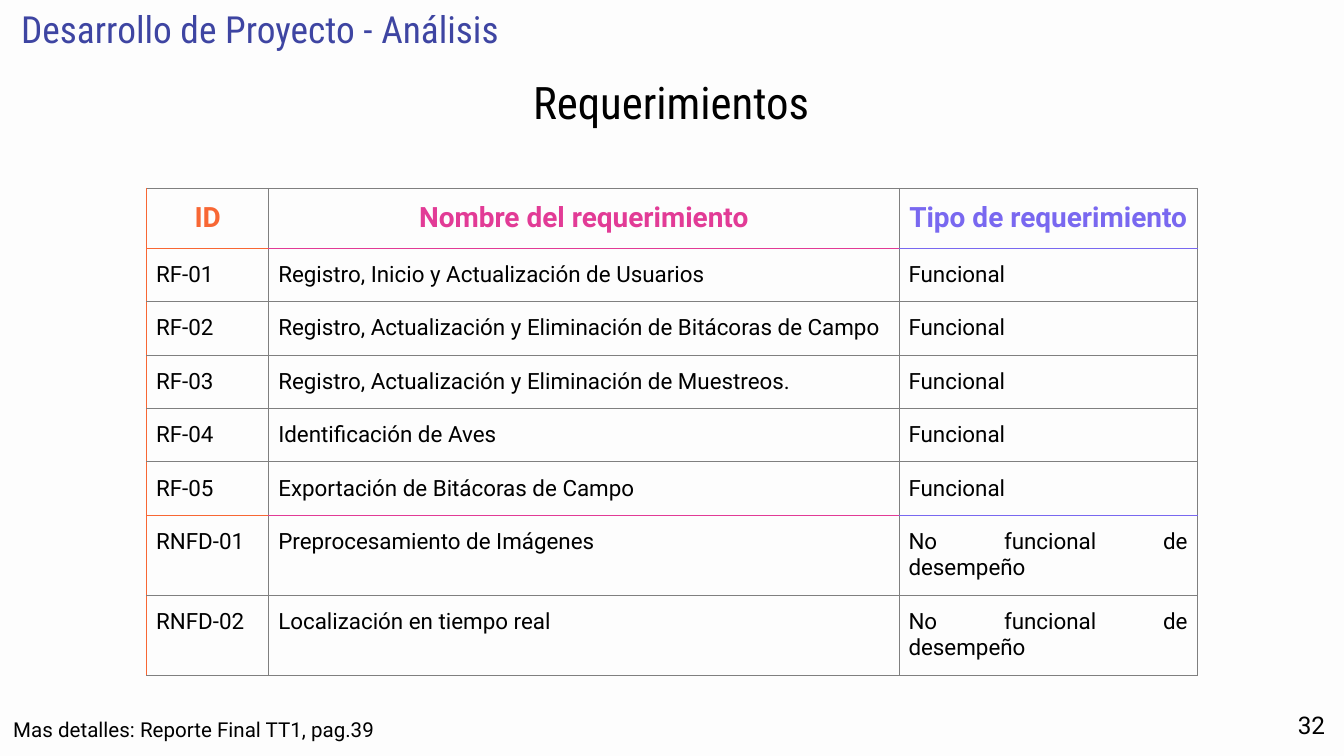
import pptx
import pptx.util
import pptx.dml.color
import pptx.enum.text
import pptx.oxml
import pptx.oxml.ns

Cm = pptx.util.Cm
Align = pptx.enum.text.PP_ALIGN
Anchor = pptx.enum.text.MSO_ANCHOR

COLOURS = {"background": "FDFDFD", "text": "000000", "heading": "3E45A2",
           "id": "F86734", "name": "E23B96", "kind": "7968F0", "grid": "7F7F7F"}


def write_text(frame, text, align, colour, margins, **font_format):
    """Fill a text frame with one formatted paragraph."""
    frame.word_wrap = True
    for side, margin in zip(("left", "top", "right", "bottom"), margins):
        setattr(frame, "margin_" + side, Cm(margin))
    para = frame.paragraphs[0]
    para.alignment = align
    span = para.add_run()
    span.text = text
    for name, value in font_format.items():
        setattr(span.font, name, value)
    span.font.color.rgb = pptx.dml.color.RGBColor.from_string(COLOURS[colour])


def draw_borders(cell, borders):
    """Add thin solid borders, given in the order left, right, top, bottom."""
    properties = cell._tc.get_or_add_tcPr()
    for position, (side, colour) in enumerate(borders.items()):
        line = pptx.oxml.parse_xml(
            f'<a:{side} {pptx.oxml.ns.nsdecls("a")} w="7620"><a:solidFill>'
            f'<a:srgbClr val="{COLOURS[colour]}"/></a:solidFill></a:{side}>')
        properties.insert(position, line)


# Page
deck = pptx.Presentation()
deck.slide_width, deck.slide_height = Cm(25.4), Cm(14.29)
page = deck.slides.add_slide(deck.slide_layouts[5])
page.background.fill.solid()
page.background.fill.fore_color.rgb = pptx.dml.color.RGBColor.from_string(
    COLOURS["background"])

# Title
title = page.shapes.title
title.left, title.top, title.width, title.height = Cm(1.24), Cm(1.14), Cm(22.89), Cm(1.55)
title.text_frame.vertical_anchor = Anchor.MIDDLE
title.text_frame.auto_size = pptx.enum.text.MSO_AUTO_SIZE.SHAPE_TO_FIT_TEXT
write_text(title.text_frame, "Requerimientos", Align.CENTER, "text", [0.25] * 4,
           name="Roboto Condensed", size=pptx.util.Pt(24))

# Section heading, page number and reference
labels = [
    ("Desarrollo de Proyecto - Análisis", (0.15, 0.15, 9.58, 0.79),
     Align.LEFT, Anchor.MIDDLE, "heading", "Roboto Condensed", 20),
    ("32", (23.77, 13.18, 1.52, 1.09), Align.RIGHT, Anchor.TOP, "text", "Roboto", 13),
    ("Mas detalles: Reporte Final TT1, pag.39", (0, 13.31, 7.54, 0.86),
     Align.LEFT, Anchor.TOP, "text", "Roboto", 11),
]
for text, place, align, anchor, colour, font, size in labels:
    box = page.shapes.add_textbox(*map(Cm, place))
    box.text_frame.vertical_anchor = anchor
    write_text(box.text_frame, text, align, colour, [0.25] * 4,
               name=font, size=pptx.util.Pt(size))

# Requirements table
columns = [("id", 2.31), ("name", 11.91), ("kind", 5.64)]
rows = [
    ("ID", "Nombre del requerimiento", "Tipo de requerimiento"),
    ("RF-01", "Registro, Inicio y Actualización de Usuarios", "Funcional"),
    ("RF-02", "Registro, Actualización y Eliminación de Bitácoras de Campo", "Funcional"),
    ("RF-03", "Registro, Actualización y Eliminación de Muestreos.", "Funcional"),
    ("RF-04", "Identificación de Aves", "Funcional"),
    ("RF-05", "Exportación de Bitácoras de Campo", "Funcional"),
    ("RNFD-01", "Preprocesamiento de Imágenes", "No funcional de desempeño"),
    ("RNFD-02", "Localización en tiempo real", "No funcional de desempeño"),
]
table = page.shapes.add_table(len(rows), len(columns), Cm(2.77), Cm(3.56),
                              Cm(19.86), Cm(len(rows))).table
table.first_row = table.horz_banding = False
for column, (_, width) in zip(table.columns, columns):
    column.width = Cm(width)

accented_rows = (0, 5)  # the header and the last functional requirement
for row_index, row in enumerate(rows):
    table.rows[row_index].height = Cm(1)
    header = row_index == 0
    for column_index, (text, (accent, _)) in enumerate(zip(row, columns)):
        cell = table.cell(row_index, column_index)
        cell.fill.background()
        write_text(cell.text_frame, text, Align.CENTER if header else Align.JUSTIFY,
                   accent if header else "text", [0.18, 0.25, 0.18, 0.25],
                   name="Roboto", size=pptx.util.Pt(15 if header else 12), bold=header)
        for side, margin in (("left", 0.18), ("right", 0.18), ("top", 0.25), ("bottom", 0.25)):
            setattr(cell, "margin_" + side, Cm(margin))
        draw_borders(cell, {
            "lnL": "id" if column_index == 0 else "grid",
            "lnR": "grid",
            "lnT": accent if row_index - 1 in accented_rows else "grid",
            "lnB": accent if row_index in accented_rows else "grid",
        })

deck.save("out.pptx")
